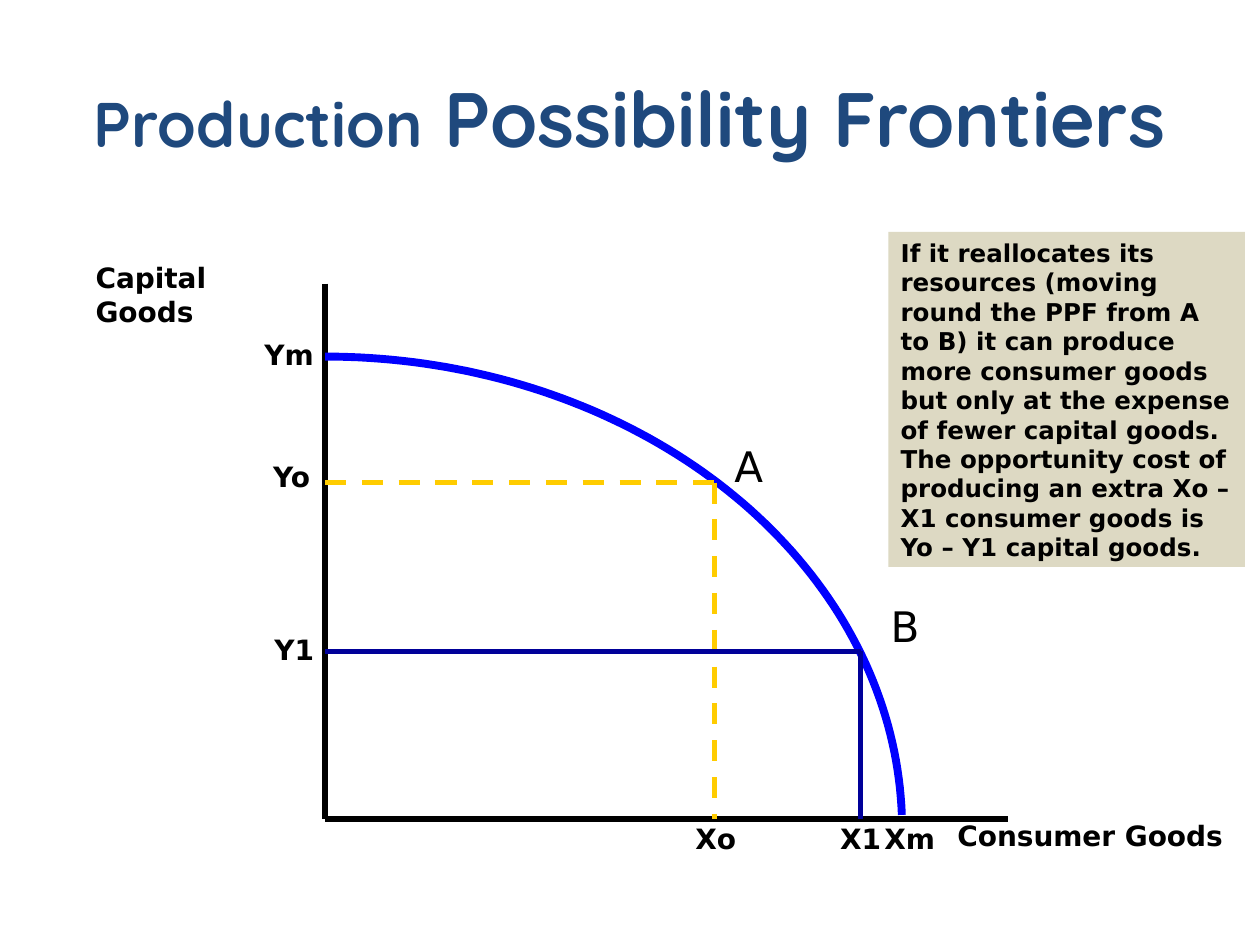
from dataclasses import dataclass
from math import cos, pi, sin

from lxml import etree
from pptx import Presentation
from pptx.dml.color import RGBColor
from pptx.enum.dml import MSO_LINE
from pptx.enum.shapes import MSO_CONNECTOR, MSO_SHAPE
from pptx.enum.text import MSO_ANCHOR, PP_ALIGN
from pptx.oxml.ns import qn
from pptx.util import Inches, Pt

STRAIGHT = MSO_CONNECTOR.STRAIGHT
RECT = MSO_SHAPE.RECTANGLE
DASH = MSO_LINE.DASH
MIDDLE = MSO_ANCHOR.MIDDLE
TOP = MSO_ANCHOR.TOP
CENTER = PP_ALIGN.CENTER
LEFT = PP_ALIGN.LEFT


@dataclass(frozen=True)
class Theme:
    head: str = "Quicksand"
    body: str = "DejaVu Sans"
    title: str = "1F497D"
    ink: str = "000000"
    curve: str = "0000FF"
    old: str = "FFCC00"
    new: str = "000099"
    note: str = "DDD9C3"
    small: int = 14
    label: int = 16
    point: int = 24
    lead: int = 36
    main: int = 44
    thin: float = 3
    thick: float = 4.5


@dataclass(frozen=True)
class Label:
    text: str
    x: float
    y: float
    w: float
    h: float = 0.37
    size: int = Theme.label
    bold: bool = True
    wrap: bool = False


@dataclass(frozen=True)
class Guide:
    x: float
    y: float
    color: str
    dashed: bool = False


THEME = Theme()

# Axes and frontier, in inches
LEFT_X, BASE_Y = 2.58, 6.5
AXIS_TOP, AXIS_END = 2.25, 8
MID_Y, RAD_X, RAD_Y = 6.58, 4.58, 3.75
STEPS = 80

LABELS = [
    Label("Capital Goods", 0.66, 2.02, 1.92, wrap=True),
    Label("Consumer Goods", 7.5, 6.45, 2.31),
    Label("Ym", 2, 2.63, 0.6),
    Label("Yo", 2.07, 3.6, 0.52),
    Label("Y1", 2.08, 4.97, 0.52),
    Label("Xo", 5.42, 6.47, 0.52),
    Label("X1", 6.57, 6.47, 0.53),
    Label("Xm", 6.92, 6.47, 0.61),
    Label("A", 5.73, 3.45, 0.43, 0.5, THEME.point, False),
    Label("B", 6.97, 4.72, 0.43, 0.5, THEME.point, False),
]
GUIDES = [
    Guide(5.67, 3.83, THEME.old, True),
    Guide(6.83, 5.17, THEME.new),
]
NOTE = (
    "If it reallocates its resources (moving round the PPF from A to B) "
    "it can produce more consumer goods but only at the expense of fewer "
    "capital goods. The opportunity cost of producing an extra Xo – X1 "
    "consumer goods is Yo – Y1 capital goods."
)


def style(run, font: str, size: int, color: str, bold: bool) -> None:
    run.font.name = font
    run.font.size = Pt(size)
    run.font.bold = bold
    run.font.color.rgb = RGBColor.from_string(color)


def draw_line(slide, x1: float, y1: float, x2: float, y2: float,
              color: str, dashed: bool = False) -> None:
    line = slide.shapes.add_connector(
        STRAIGHT, Inches(x1), Inches(y1), Inches(x2), Inches(y2))
    line.line.color.rgb = RGBColor.from_string(color)
    line.line.width = Pt(THEME.thin)
    if dashed:
        line.line.dash_style = DASH
    etree.SubElement(line._element.spPr, qn("a:effectLst"))


def draw_guide(slide, guide: Guide) -> None:
    draw_line(slide, LEFT_X, guide.y, guide.x, guide.y,
              guide.color, guide.dashed)
    draw_line(slide, guide.x, guide.y, guide.x, BASE_Y,
              guide.color, guide.dashed)


def draw_label(slide, label: Label) -> None:
    box = slide.shapes.add_textbox(
        Inches(label.x), Inches(label.y), Inches(label.w), Inches(label.h))
    frame = box.text_frame
    frame.word_wrap = label.wrap
    frame.text = label.text
    style(frame.paragraphs[0].runs[0], THEME.body, label.size,
          THEME.ink, label.bold)


def draw_title(slide) -> None:
    box = slide.shapes.add_textbox(
        Inches(0.5), Inches(0.3), Inches(9), Inches(1.25))
    frame = box.text_frame
    frame.word_wrap = True
    frame.vertical_anchor = MIDDLE
    para = frame.paragraphs[0]
    para.alignment = CENTER
    for text, size in (("Production", THEME.lead),
                       (" Possibility Frontiers", THEME.main)):
        run = para.add_run()
        run.text = text
        style(run, THEME.head, size, THEME.title, True)


def draw_curve(slide) -> None:
    # Elliptic arc that stops just above the base line
    sweep = pi / 2 - 0.03
    angles = [pi / 2 - sweep * i / STEPS for i in range(STEPS + 1)]
    spots = [(Inches(LEFT_X + RAD_X * cos(a)), Inches(MID_Y - RAD_Y * sin(a)))
             for a in angles]
    pen = slide.shapes.build_freeform(*spots[0])
    pen.add_line_segments(spots[1:], close=False)
    curve = pen.convert_to_shape()
    curve.shadow.inherit = False
    curve.fill.background()
    curve.line.color.rgb = RGBColor.from_string(THEME.curve)
    curve.line.width = Pt(THEME.thick)


def draw_note(slide) -> None:
    box = slide.shapes.add_shape(
        RECT, Inches(7.05), Inches(1.84), Inches(2.83), Inches(2.66))
    box.shadow.inherit = False
    box.fill.solid()
    box.fill.fore_color.rgb = RGBColor.from_string(THEME.note)
    box.line.fill.background()
    frame = box.text_frame
    frame.word_wrap = True
    frame.vertical_anchor = TOP
    frame.text = NOTE
    para = frame.paragraphs[0]
    para.alignment = LEFT
    style(para.runs[0], THEME.body, THEME.small, THEME.ink, True)


def main() -> None:
    deck = Presentation()
    deck.slide_width, deck.slide_height = Inches(10), Inches(7.5)
    slide = deck.slides.add_slide(deck.slide_layouts[6])

    draw_title(slide)

    # Axes, frontier and guides
    draw_line(slide, LEFT_X, AXIS_TOP, LEFT_X, BASE_Y, THEME.ink)
    draw_line(slide, LEFT_X, BASE_Y, AXIS_END, BASE_Y, THEME.ink)
    draw_curve(slide)
    for guide in GUIDES:
        draw_guide(slide, guide)

    # Wording
    for label in LABELS:
        draw_label(slide, label)
    draw_note(slide)

    deck.save("out.pptx")


if __name__ == "__main__":
    main()
